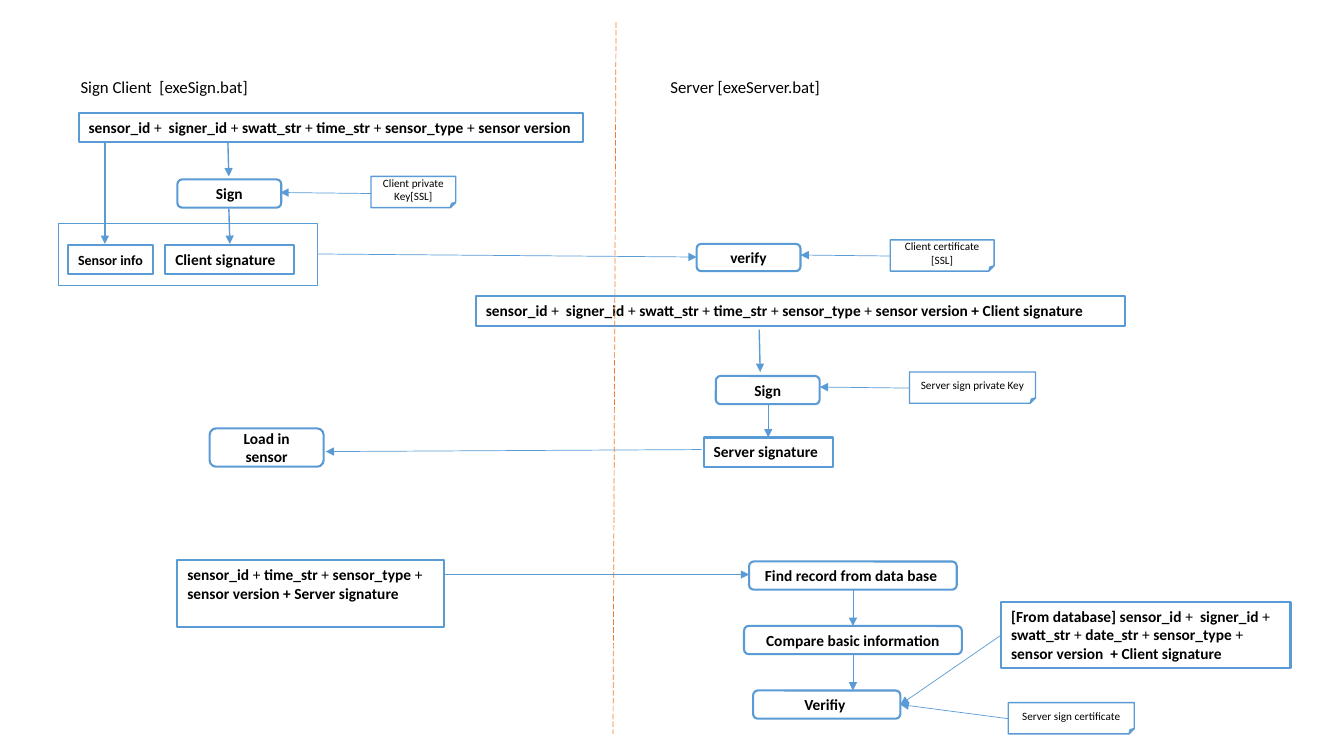
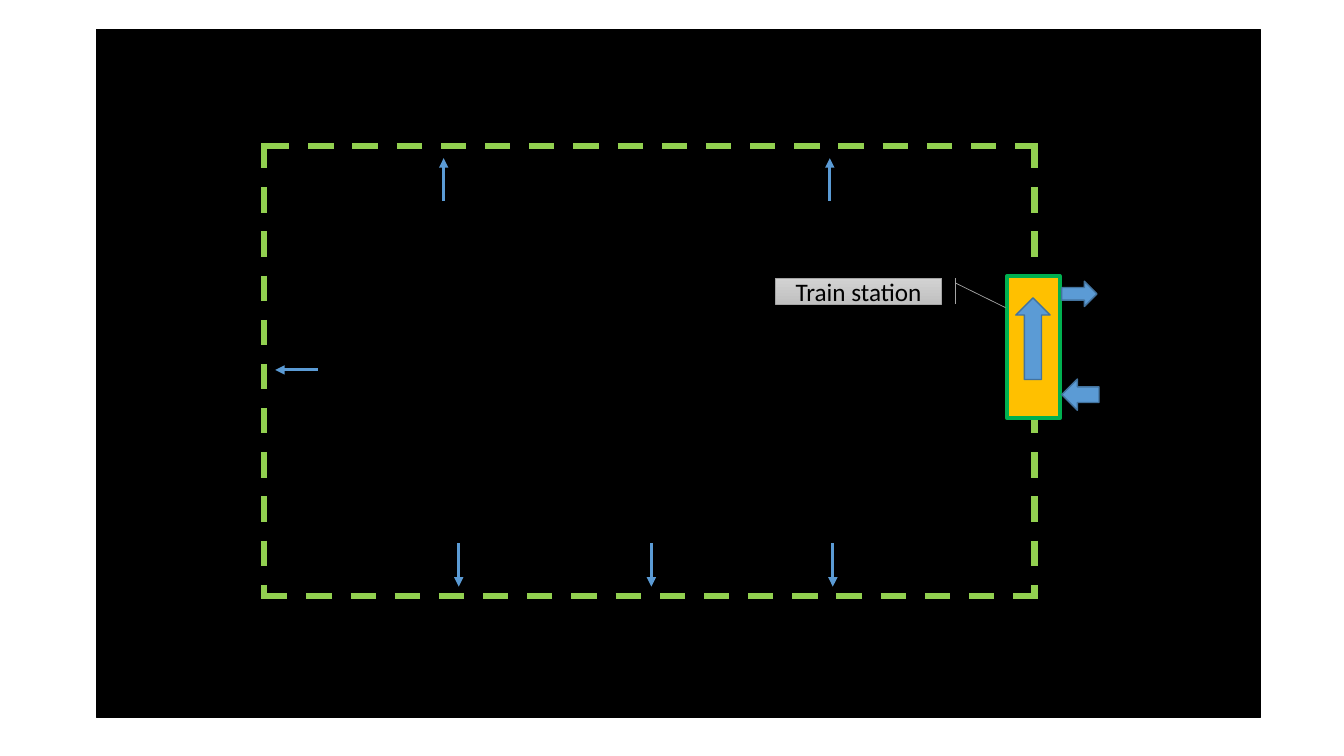
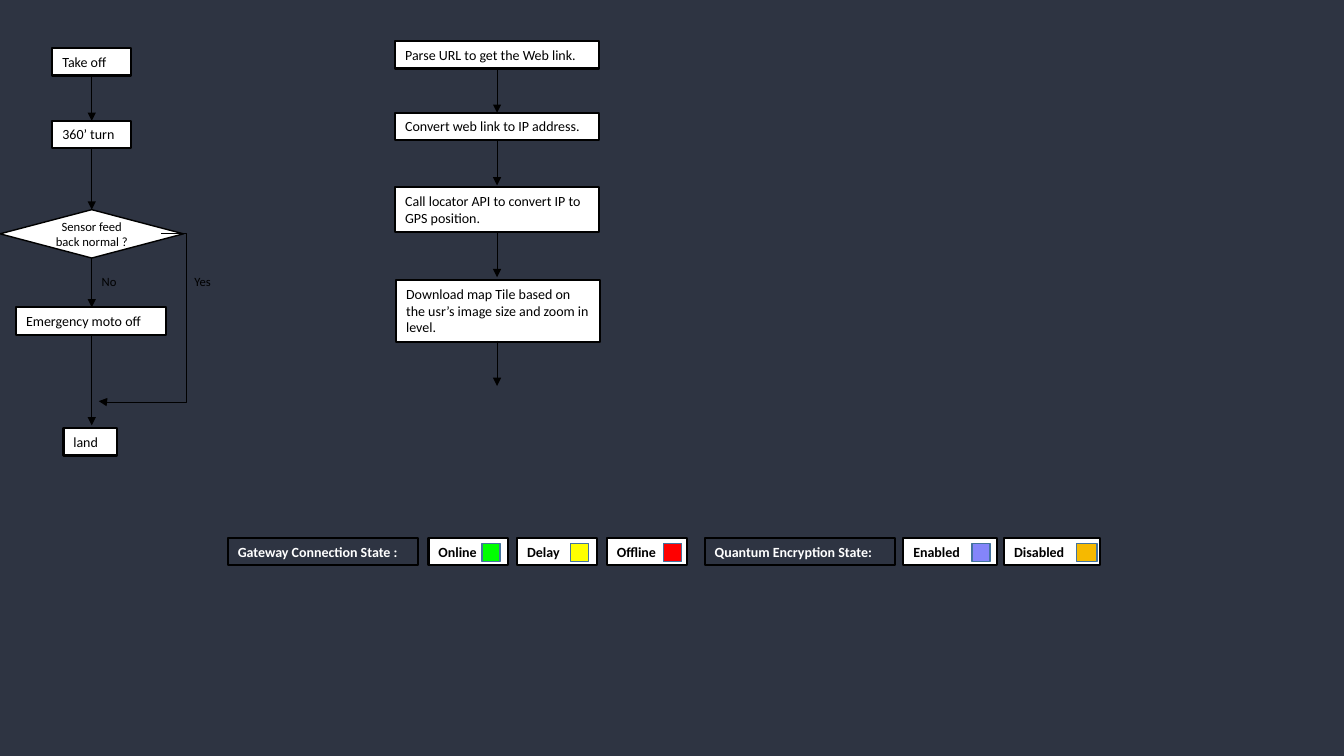
from pptx import Presentation
from pptx import util as u
from pptx.dml.color import RGBColor
from pptx.enum import dml, shapes, text
from pptx.oxml.ns import qn
from lxml import etree

FONT = "Calibri"
BLUE, EDGE, BLACK, WHITE, NIGHT = "5B9BD5", "43739E", "000000", "FFFFFF", "2E3442"
CELL = u.Inches(1)  # one column or row of the grid behind every position
Kind = shapes.MSO_SHAPE
RECT, ROUND, FOLDED = Kind.RECTANGLE, Kind.ROUNDED_RECTANGLE, Kind.FOLDED_CORNER
ARROW = Kind.RIGHT_ARROW


def add_box(page, at, words="", kind=RECT, fill=WHITE, line=BLUE, width=1.5,
            size=11, colour=BLACK, bold=False, centred=False, inset=0.1):
    """Add a shape, or a plain text box if kind is None.

    A | in the words switches bold off and on again.
    """
    place = [round(length * CELL) for length in at]
    if kind is None:
        box = page.shapes.add_textbox(*place)
    else:
        box = page.shapes.add_shape(kind, *place)
        box.shadow.inherit = False
        box.line.color.rgb = RGBColor.from_string(line)
        box.line.width = u.Pt(width)
        if fill:
            box.fill.solid()
            box.fill.fore_color.rgb = RGBColor.from_string(fill)
        else:
            box.fill.background()
    if words:
        frame = box.text_frame
        frame.word_wrap = True
        frame.margin_left = frame.margin_right = u.Inches(inset)
        frame.vertical_anchor = text.MSO_ANCHOR.MIDDLE if centred else text.MSO_ANCHOR.TOP
        para = frame.paragraphs[0]
        para.alignment = text.PP_ALIGN.CENTER if centred else text.PP_ALIGN.LEFT
        for index, part in enumerate(words.split("|")):
            span = para.add_run()
            span.text = part
            span.font.name, span.font.size = FONT, u.Pt(size)
            span.font.bold = bold and index % 2 == 0
            span.font.color.rgb = RGBColor.from_string(colour)
    return box


def add_line(page, start, end, colour=BLUE, width=0.5, dash=None, arrow=True,
             kind=shapes.MSO_CONNECTOR.STRAIGHT):
    line = page.shapes.add_connector(kind, *(round(n * CELL) for n in (*start, *end)))
    line.line.color.rgb = RGBColor.from_string(colour)
    line.line.width = u.Pt(width)
    if dash:
        line.line.dash_style = dash
    properties = line._element.spPr
    if arrow:
        etree.SubElement(properties.find(qn("a:ln")), qn("a:tailEnd"), type="triangle")
    etree.SubElement(properties, qn("a:effectLst"))
    return line


deck = Presentation()
deck.slide_width, deck.slide_height = u.Inches(13.33), u.Inches(7.5)
signing, track, flows = [deck.slides.add_slide(deck.slide_layouts[6]) for _ in range(3)]
flows.background.fill.solid()
flows.background.fill.fore_color.rgb = RGBColor.from_string(NIGHT)

# Slide 1: signing between client and server
for left, words in [(0.7, "Sign Client  [exeSign.bat]"), (6.55, "Server [exeServer.bat]")]:
    add_box(signing, (left, 0.71, 2.38, 0.3), words, kind=None, size=12)

add_box(signing, (0.58, 2.22, 2.57, 0.61), fill=None, width=1)

SIGNED = ("sensor_id |+  |signer_id| + |swatt_str |+ |time_str |+ "
          "|sensor_type |+ |sensor version")
for at, words in [
    ((0.78, 1.12, 5, 0.29), SIGNED),
    ((1.64, 2.43, 1.28, 0.29), "Client signature"),
    ((4.72, 2.94, 6.44, 0.29), SIGNED + " + Client signature"),
    ((6.98, 4.34, 1.28, 0.29), "Server signature"),
    ((1.76, 5.56, 2.64, 0.66),
     "sensor_id |+ |time_str |+ |sensor_type |+ |sensor version + Server signature"),
    ((9.93, 5.97, 2.87, 0.66),
     "[From database] sensor_id |+  |signer_id| + |swatt_str |+ |date_str |+ "
     "|sensor_type |+ |sensor version  + Client signature"),
]:
    add_box(signing, at, words, bold=True)

add_box(signing, (0.67, 2.43, 0.85, 0.29), "Sensor info", size=10, bold=True, centred=True)

for at, words in [
    ((1.76, 1.78, 1.03, 0.28), "Sign"),
    ((6.91, 2.42, 1.03, 0.27), "verify"),
    ((7.1, 3.73, 1.03, 0.28), "Sign"),
    ((2.08, 4.25, 1.13, 0.38), "Load in sensor"),
    ((7.43, 5.57, 2.06, 0.28), "Find record from data base "),
    ((7.38, 6.21, 2.16, 0.28), "Compare basic information"),
    ((7.47, 6.85, 1.46, 0.28), "Verifiy "),
]:
    add_box(signing, at, words, kind=ROUND, bold=True, centred=True)

for left, top, width, words in [
    (3.68, 1.75, 0.84, "Client private Key[SSL]"),
    (8.83, 2.38, 1.03, "Client certificate [SSL]"),
    (9.02, 3.69, 1.25, "Server sign private Key"),
    (10, 6.97, 1.25, "Server sign certificate"),
]:
    add_box(signing, (left, top, width, 0.31), words, kind=FOLDED, width=1, size=8, centred=True)

for width, arrows in {
    1: [((2.26, 1.4), (2.27, 1.75)), ((2.27, 2.07), (2.28, 2.42)),
        ((1.04, 1.4), (1.04, 2.42)), ((7.53, 3.27), (7.54, 3.69)),
        ((7.62, 4.01), (7.62, 4.34)), ((4.4, 5.7), (7.43, 5.7))],
    0.5: [((3.68, 1.92), (2.78, 1.91)), ((3.15, 2.52), (6.91, 2.55)),
          ((8.83, 2.54), (7.94, 2.53)), ((9.02, 3.85), (8.13, 3.84)),
          ((6.96, 4.46), (3.23, 4.48)), ((8.46, 5.85), (8.46, 6.21)),
          ((8.46, 6.48), (8.46, 6.85)), ((9.93, 6.3), (8.93, 6.99)),
          ((10, 7.13), (8.93, 6.99))],
}.items():
    for start, end in arrows:
        add_line(signing, start, end, width=width)
add_line(signing, (6.11, 0.22), (6.08, 7.28), "ED7D31",
         dash=dml.MSO_LINE.LONG_DASH, arrow=False)

# Slide 2: track with a train station
add_box(track, (0.96, 0.29, 11.54, 6.83), fill=BLACK, line=BLACK, width=1)
for start, end in [
    ((2.62, 1.45), (10.28, 1.45)), ((2.62, 1.42), (2.62, 5.94)),
    ((2.6, 5.91), (10.26, 5.91)), ((10.26, 1.42), (10.26, 5.94)),
]:
    add_line(track, start, end, "92D050", 4.5, dml.MSO_LINE.DASH, arrow=False)
add_box(track, (9.99, 2.74, 0.52, 1.41), fill="FFC000", line="00B050", width=3)

for column in (8.23, 4.4):
    add_line(track, (column, 1.99), (column, 1.57), width=2.25)
for column in (4.55, 6.46, 8.26):
    add_line(track, (column, 5.39), (column, 5.82), width=2.25)
add_line(track, (3.15, 3.67), (2.73, 3.67), width=2.25)

for at, turn in [((9.84, 3.19, 0.81, 0.34), 270), ((10.53, 2.79, 0.35, 0.25), 0),
                 ((10.53, 3.76, 0.37, 0.31), 180)]:
    add_box(track, at, kind=ARROW, fill=BLUE, line=EDGE, width=1).rotation = turn

callout = add_box(track, (7.69, 2.76, 1.65, 0.26), "Train station",
                  kind=Kind.LINE_CALLOUT_1_BORDER_AND_ACCENT_BAR,
                  line="A5A5A5", width=0.5, size=18, centred=True)
callout._element.spPr.xfrm.set("flipH", "1")
callout.fill.gradient()
callout.fill.gradient_angle = 270
for stop, shade in zip(callout.fill.gradient_stops, ("D2D2D2", "C0C0C0")):
    stop.color.rgb = RGBColor.from_string(shade)

# Slide 3: two flow charts and a legend of states
add_box(flows, (0, 2.08, 1.82, 0.48), "Sensor feed back normal ?", kind=Kind.DIAMOND,
        line=BLACK, width=1, size=9, centred=True, inset=0.06)
for at, words in [
    ((0.52, 0.48, 0.78, 0.27), "Take off"),
    ((0.52, 1.2, 0.78, 0.27), "360’ turn"),
    ((0.16, 3.05, 1.49, 0.27), "Emergency moto off"),
    ((0.63, 4.25, 0.53, 0.27), "land"),
    ((3.92, 0.41, 2.02, 0.27), "Parse URL to get the Web link."),
    ((3.92, 1.12, 2.02, 0.27), "Convert web link to IP address."),
    ((3.92, 1.86, 2.02, 0.44), "Call locator API to convert IP to GPS position."),
    ((3.93, 2.78, 2.02, 0.61),
     "Download map Tile based on the usr’s image size and zoom in level."),
]:
    add_box(flows, at, words, line=BLACK, size=10)

for column, spans in [
    (0.91, [(0.75, 1.2), (1.47, 2.08), (2.56, 3.05), (3.32, 4.22)]),
    (4.93, [(0.68, 1.12), (1.39, 1.84), (2.31, 2.75), (3.38, 3.83)]),
]:
    for top, bottom in spans:
        add_line(flows, (column, top), (column, bottom), BLACK)

bypass = add_line(flows, (1.6, 2.32), (0.98, 3.98), BLACK, kind=shapes.MSO_CONNECTOR.ELBOW)
geometry = bypass._element.spPr.find(qn("a:prstGeom"))
geometry.set("prst", "bentConnector4")
guides = geometry.find(qn("a:avLst"))
if guides is None:
    guides = etree.SubElement(geometry, qn("a:avLst"))
for name, value in [("adj1", -40300), ("adj2", 100500)]:
    etree.SubElement(guides, qn("a:gd"), name=name, fmla=f"val {value}")

for left, words in [(0.91, "No"), (1.83, "Yes")]:
    add_box(flows, (left, 2.67, 0.45, 0.25), words, kind=None, size=9)

for left, words in [(2.26, "Gateway Connection State :"), (6.99, "Quantum Encryption State:")]:
    add_box(flows, (left, 5.34, 1.89, 0.27), words, fill=NIGHT, line=BLACK,
            size=10, colour=WHITE, bold=True)
for left, width, words, swatch_left, swatch_width, swatch in [
    (4.25, 0.79, "Online", 4.78, 0.18, "00FF00"),
    (5.13, 0.79, "Delay", 5.66, 0.18, "FFFF00"),
    (6.02, 0.79, "Offline", 6.58, 0.18, "FF0000"),
    (8.96, 0.93, "Enabled", 9.64, 0.18, "8485FA"),
    (9.96, 0.95, "Disabled", 10.68, 0.2, "F6B900"),
]:
    add_box(flows, (left, 5.34, width, 0.27), words, line=BLACK, size=10, bold=True)
    add_box(flows, (swatch_left, 5.39, swatch_width, 0.18), fill=swatch, line=EDGE, width=1)

deck.save("out.pptx")
